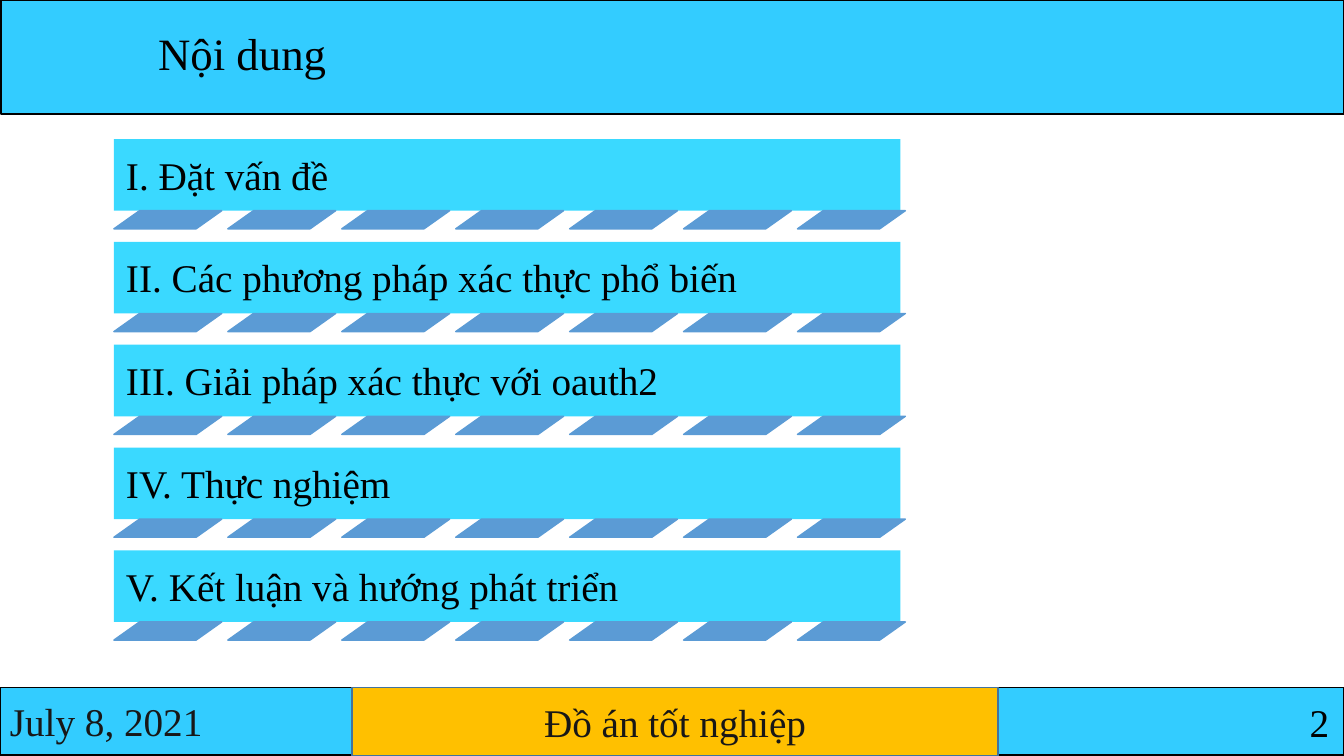
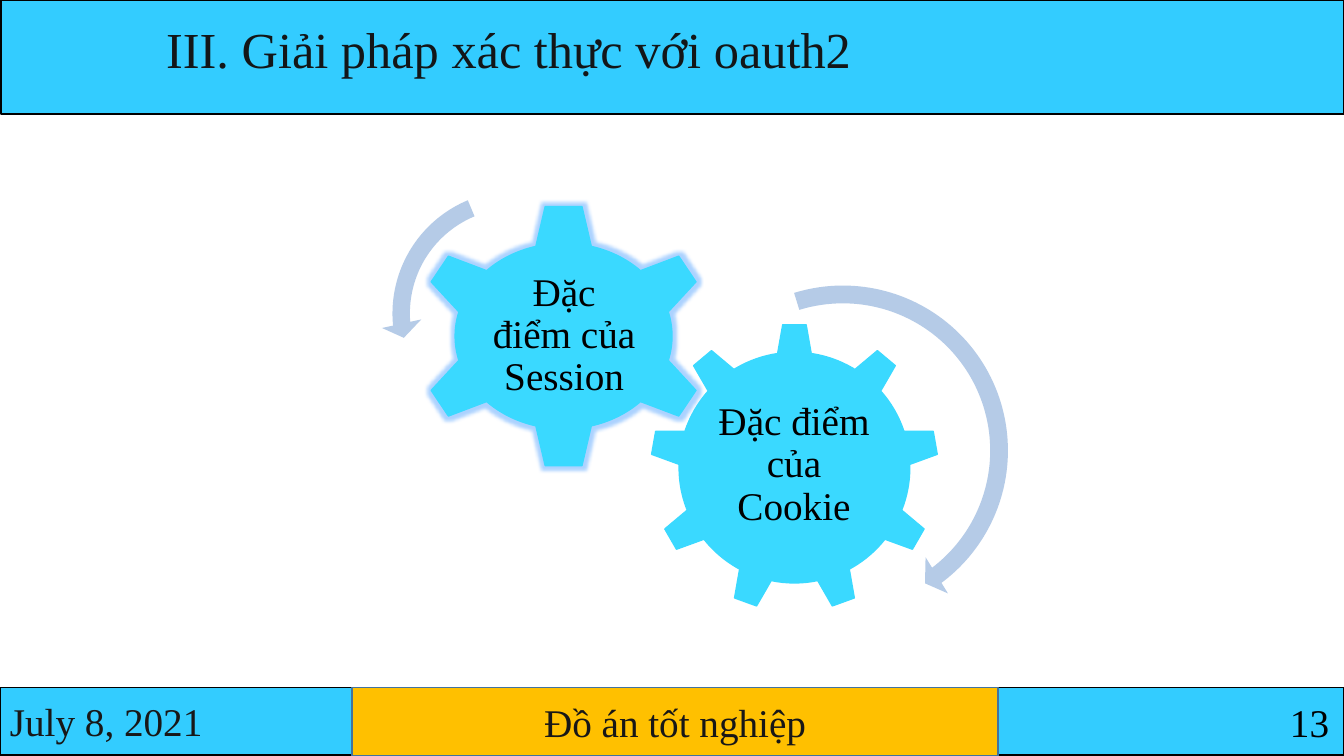
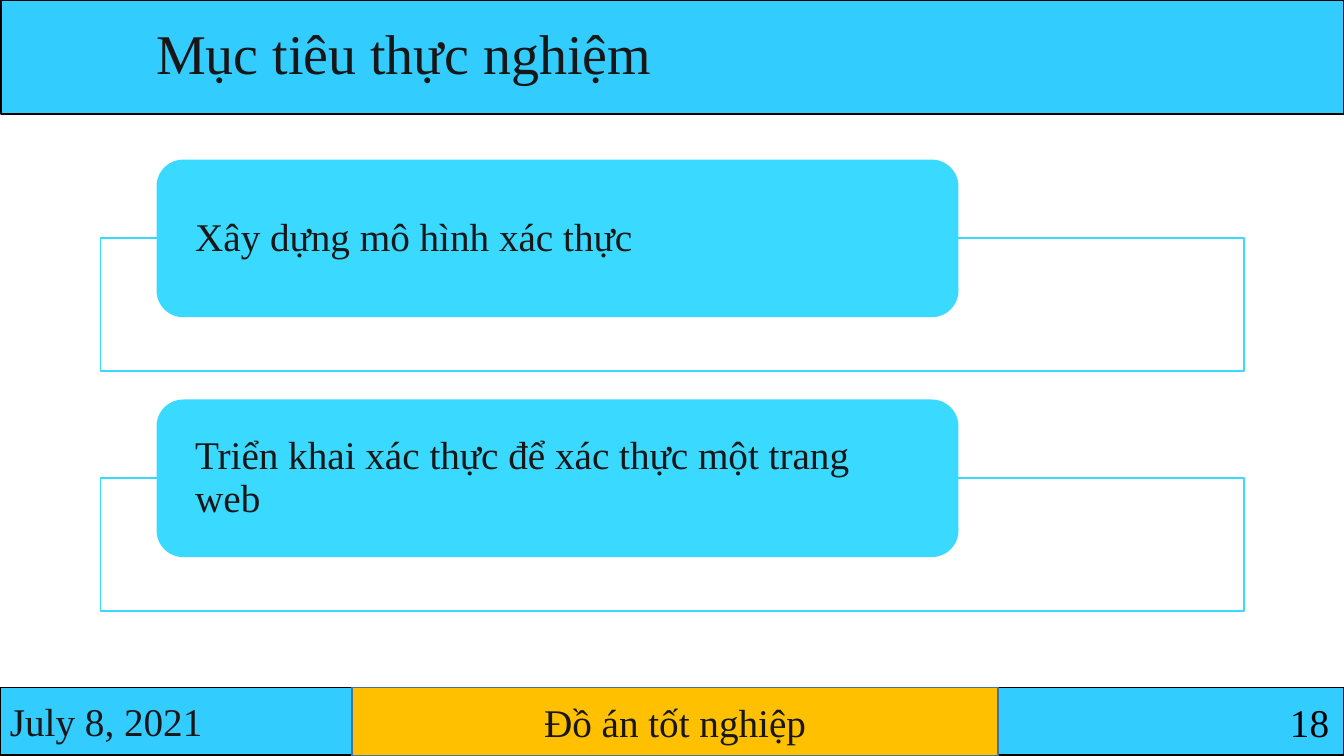
from dataclasses import dataclass

from lxml import etree
from pptx import Presentation
from pptx.dml.color import RGBColor
from pptx.enum.shapes import MSO_SHAPE as Shape
from pptx.enum.text import MSO_ANCHOR as Anchor, PP_ALIGN as Align
from pptx.oxml.ns import qn
from pptx.util import Inches, Pt

FONT = "Times New Roman"
BLACK, INK, WHITE = "000000", "181717", "FFFFFF"
BAND, AMBER, AMBER_EDGE = "33CCFF", "FFC000", "43739E"
CYAN, STEEL, PALE = "3AD9FF", "5B9BD5", "B5CBE7"
BODY_SIZE = 28


@dataclass
class Box:
    left: float
    top: float
    width: float
    height: float

    def lengths(self) -> list:
        return [Inches(v) for v in (self.left, self.top, self.width, self.height)]


@dataclass
class Text:
    words: str
    size: float = BODY_SIZE
    color: str = BLACK
    align: Align = Align.LEFT
    anchor: Anchor = Anchor.MIDDLE
    inset_x: float = 0.1
    inset_y: float = 0.05
    spacing: float = 1.0


@dataclass
class Heading:
    words: str
    left: float
    top: float
    size: float
    color: str
    page: int


@dataclass
class Gear:
    kind: Shape
    box: Box
    label: str
    label_box: Box
    glows: bool = False


@dataclass
class TurnArrow:
    kind: Shape
    box: Box
    adjustments: tuple


def rgb(color: str) -> RGBColor:
    return RGBColor.from_string(color)


def write(frame, text: Text) -> None:
    frame.word_wrap = True
    frame.vertical_anchor = text.anchor
    frame.margin_left = frame.margin_right = Inches(text.inset_x)
    frame.margin_top = frame.margin_bottom = Inches(text.inset_y)
    paragraph = frame.paragraphs[0]
    paragraph.text = text.words
    paragraph.alignment = text.align
    paragraph.line_spacing = text.spacing
    paragraph.font.name = FONT
    paragraph.font.size = Pt(text.size)
    paragraph.font.color.rgb = rgb(text.color)


def add_text(slide, box: Box, text: Text) -> None:
    write(slide.shapes.add_textbox(*box.lengths()).text_frame, text)


def add_figure(slide, kind: Shape, box: Box, fill: str, line: str | None = None,
               text: Text | None = None, adjustments: tuple = ()):
    figure = slide.shapes.add_shape(kind, *box.lengths())
    figure.shadow.inherit = False
    figure.fill.solid()
    figure.fill.fore_color.rgb = rgb(fill)
    if line:
        figure.line.color.rgb = rgb(line)
        figure.line.width = Pt(1)
    else:
        figure.line.fill.background()
    for index, value in enumerate(adjustments):
        figure.adjustments[index] = value
    if text:
        write(figure.text_frame, text)
    return figure


def add_glow(figure, color: str, radius: float) -> None:
    effects = figure._element.spPr.find(qn("a:effectLst"))
    glow = etree.SubElement(effects, qn("a:glow"), rad=str(Pt(radius)))
    tint = etree.SubElement(glow, qn("a:srgbClr"), val=color)
    etree.SubElement(tint, qn("a:alpha"), val="60000")


def new_slide(deck, heading: Heading):
    slide = deck.slides.add_slide(deck.slide_layouts[6])
    # Header band, footer bands and page number
    add_figure(slide, Shape.RECTANGLE, Box(0.01, 0, 13.32, 1.13), BAND, BLACK)
    add_figure(slide, Shape.RECTANGLE, Box(0, 6.82, 13.33, 0.67), BAND, BLACK,
               Text("July 8, 2021", color=INK))
    add_figure(slide, Shape.RECTANGLE, Box(3.49, 6.82, 6.41, 0.68), AMBER, AMBER_EDGE,
               Text("Đồ án tốt nghiệp", color=INK, align=Align.CENTER))
    add_text(slide, Box(10.39, 6.88, 2.89, 0.57),
             Text(str(heading.page), align=Align.RIGHT, anchor=Anchor.TOP))
    # Title
    add_text(slide, Box(heading.left, heading.top, 8.03, 0.7),
             Text(heading.words, heading.size, heading.color, anchor=Anchor.TOP))
    return slide


def build_contents(deck) -> None:
    slide = new_slide(deck, Heading("Nội dung", 1.47, 0.21, 32, BLACK, 2))
    chapters = ("I. Đặt vấn đề", "II. Các phương pháp xác thực phổ biến",
                "III. Giải pháp xác thực với oauth2", "IV. Thực nghiệm",
                "V. Kết luận và hướng phát triển")
    left, first_top, bar_height = 1.13, 1.38, 0.71
    row_pitch, dash_pitch, dash_count = 1.02, 1.13, 7
    for row, chapter in enumerate(chapters):
        top = first_top + row * row_pitch
        add_figure(slide, Shape.RECTANGLE, Box(left, top, 7.8, bar_height), CYAN,
                   text=Text(chapter, anchor=Anchor.BOTTOM, inset_x=0.12,
                             inset_y=0.12, spacing=0.9))
        for dash in range(dash_count):
            add_figure(slide, Shape.PARALLELOGRAM,
                       Box(left + dash * dash_pitch, top + bar_height, 1.07, 0.18),
                       STEEL, STEEL, adjustments=(1.41,))


def build_gears(deck) -> None:
    slide = new_slide(deck, Heading("III. Giải pháp xác thực với oauth2",
                                    1.55, 0.13, 36, "131618", 13))
    gears = (
        Gear(Shape.GEAR_9, Box(6.45, 3.21, 2.86, 2.86),
             "Đặc điểm của Cookie", Box(7.02, 3.88, 1.71, 1.47)),
        Gear(Shape.GEAR_6, Box(4.12, 2.02, 2.94, 2.63),
             "Đặc điểm của Session", Box(4.83, 2.68, 1.53, 1.3), glows=True),
    )
    for gear in gears:
        wheel = add_figure(slide, gear.kind, gear.box, CYAN, CYAN)
        if gear.glows:
            add_glow(wheel, "75B5FF", 5)
        add_text(slide, gear.label_box, Text(gear.label, align=Align.CENTER, inset_x=0.04,
                                             inset_y=0.04, spacing=0.9))
    # Turning arrows; angles are in units of 100000 / 60000 degrees
    arrows = (
        TurnArrow(Shape.CIRCULAR_ARROW, Box(6.6, 2.71, 3.52, 3.52),
                  (0.05, 3.13, 31.83, 151.68, 0.06)),
        TurnArrow(Shape.LEFT_CIRCULAR_ARROW, Box(3.78, 1.78, 2.66, 2.66),
                  (0.065, 4.3, 104.89, 148.38, 0.075)),
    )
    for arrow in arrows:
        add_figure(slide, arrow.kind, arrow.box, PALE, adjustments=arrow.adjustments)


def build_goals(deck) -> None:
    slide = new_slide(deck, Heading("Mục tiêu thực nghiệm", 1.45, 0.13, 40, INK, 18))
    goals = ("Xây dựng mô hình xác thực",
             "Triển khai xác thực để xác thực một trang web")
    for row, goal in enumerate(goals):
        top = 1.59 + row * 2.38
        add_figure(slide, Shape.RECTANGLE, Box(1, top + 0.77, 11.34, 1.32), WHITE, CYAN)
        add_figure(slide, Shape.ROUNDED_RECTANGLE, Box(1.56, top, 7.94, 1.55), CYAN, CYAN,
                   Text(goal, color=INK, inset_x=0.3, inset_y=0, spacing=0.9))


def main() -> None:
    deck = Presentation()
    deck.slide_width, deck.slide_height = Inches(13.33), Inches(7.5)
    for build in (build_contents, build_gears, build_goals):
        build(deck)
    deck.save("out.pptx")


if __name__ == "__main__":
    main()
